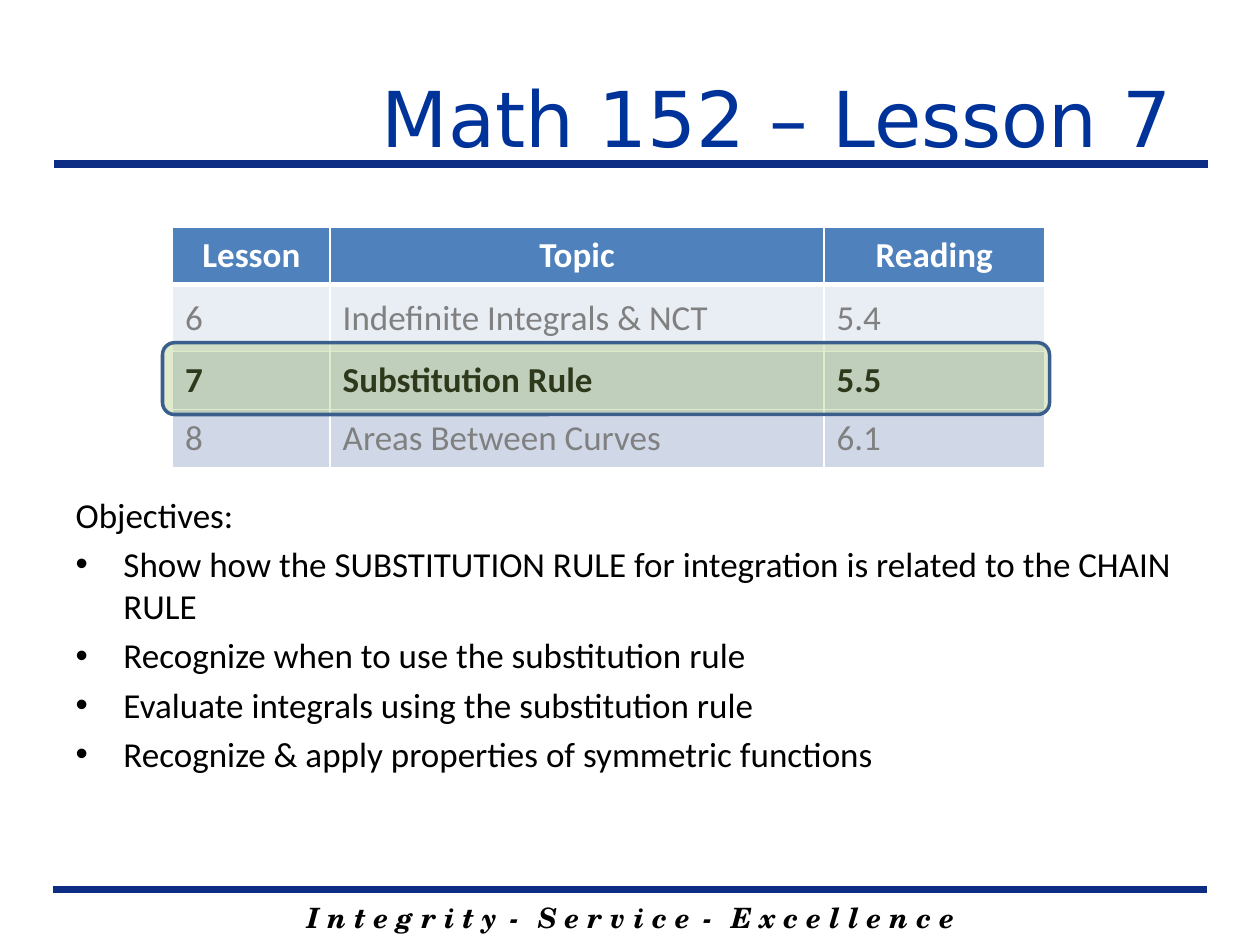
import pptx
import pptx.util
import pptx.dml.color
import pptx.enum.shapes
import pptx.enum.text
import pptx.oxml
import pptx.oxml.ns

PX = 9144  # EMU per px, at 100 px to the inch
COLORS = {
    "rule": "0C2D83", "title": "003399", "text": "000000", "muted": "808080",
    "white": "FFFFFF", "header": "4F81BD", "light": "E9EDF4", "band": "D0D8E8",
    "highlight": "9BBB59", "outline": "3A5F8C",
}
ALIGN = pptx.enum.text.PP_ALIGN
ANCHOR = pptx.enum.text.MSO_ANCHOR


def px(*lengths):
    return [length * PX for length in lengths]


def color(name):
    return pptx.dml.color.RGBColor.from_string(COLORS[name])


def add_child(parent, xml):
    """Append an element written with the a: prefix."""
    tag, rest = xml.split(" ", 1)
    child = pptx.oxml.parse_xml(f"<{tag} {pptx.oxml.ns.nsdecls('a')} {rest}")
    parent.append(child)


def add_span(para, text, size, font, hue, bold=False, italic=False):
    span = para.add_run()
    span.text = text
    span.font.size = pptx.util.Pt(size)
    span.font.name = font
    span.font.color.rgb = color(hue)
    span.font.bold = bold
    span.font.italic = italic
    return span


def place(shape, box):
    shape.left, shape.top, shape.width, shape.height = px(*box)


def add_rule(page, left, top, width):
    line = page.shapes.add_connector(
        pptx.enum.shapes.MSO_CONNECTOR.STRAIGHT, *px(left, top, left + width, top))
    line.line.color.rgb = color("rule")
    line.line.width = pptx.util.Pt(4.5)
    add_child(line._element.spPr, "a:effectLst />")


def add_header(page, box):
    left, top, width, height = box
    add_rule(page, left, top + height, width)
    title = page.shapes.title
    place(title, (left + 137, top, width - 136, height + 25))
    frame = title.text_frame
    frame.auto_size = pptx.enum.text.MSO_AUTO_SIZE.NONE
    frame.vertical_anchor = ANCHOR.MIDDLE
    para = frame.paragraphs[0]
    para.alignment = ALIGN.RIGHT
    add_span(para, "Math 152 – Lesson 7 ", 44, "DejaVu Sans", "title")


def add_footer(page, box):
    left, top, width, height = box
    add_rule(page, left, top, width)
    motto = page.shapes.add_textbox(*px(left + 100, top + 4, width - 199, height - 4))
    motto.text_frame.word_wrap = True
    para = motto.text_frame.paragraphs[0]
    para.alignment = ALIGN.CENTER
    for index, word in enumerate(("Integrity", "Service", "Excellence")):
        if index:
            dash = add_span(para, " - ", 16, "TeX Gyre Schola", "text", True, True)
            dash.font._element.set("spc", "300")  # wider gap between words
        add_span(para, " ".join(word), 16, "TeX Gyre Schola", "text", True, True)


def fill_cell(cell, text, fill, hue, bold, align, top=1, bottom=1):
    cell.vertical_anchor = ANCHOR.MIDDLE
    para = cell.text_frame.paragraphs[0]
    para.alignment = align
    add_span(para, text, 20, "Calibri", hue, bold)
    properties = cell._tc.get_or_add_tcPr()
    for side, points in (("L", 1), ("R", 1), ("T", top), ("B", bottom)):
        add_child(properties,
                  f'a:ln{side} w="{points * 12700}"><a:solidFill><a:srgbClr '
                  f'val="{COLORS["white"]}"/></a:solidFill></a:ln{side}>')
    cell.fill.solid()
    cell.fill.fore_color.rgb = color(fill)


def add_schedule(page, box):
    rows = [
        ("Lesson", "Topic", "Reading"),
        ("6", "Indefinite Integrals & NCT", "5.4"),
        ("7", "Substitution Rule", "5.5"),
        ("8", "Areas Between Curves", "6.1"),
    ]
    # Fill, font colour, bold, alignment, top and bottom border of each row
    styles = [
        ("header", "white", True, ALIGN.CENTER, 1, 3),
        ("light", "muted", False, ALIGN.LEFT, 3, 1),
        ("band", "text", True, ALIGN.LEFT, 1, 1),
        ("band", "muted", False, ALIGN.LEFT, 1, 1),
    ]
    table = page.shapes.add_table(len(rows), 3, *px(*box)).table
    table.horz_banding = False
    for column, width in zip(table.columns, px(125, 392, 175)):
        column.width = width
    for row, height, texts, style in zip(table.rows, px(46, 53, 46, 46), rows, styles):
        row.height = height
        for cell, text in zip(row.cells, texts):
            fill_cell(cell, text, *style)

    # Translucent frame around today's lesson
    left, top, width, _ = box
    frame = page.shapes.add_shape(
        pptx.enum.shapes.MSO_SHAPE.ROUNDED_RECTANGLE,
        *px(left - 8, top + 92, width + 12, 57))
    frame.shadow.inherit = False
    frame.fill.solid()
    frame.fill.fore_color.rgb = color("highlight")
    tint = frame._element.spPr.find(".//" + pptx.oxml.ns.qn("a:srgbClr"))
    add_child(tint, 'a:alpha val="30000"/>')
    frame.line.color.rgb = color("outline")
    frame.line.width = pptx.util.Pt(2)


def add_objectives(page, box):
    body = page.placeholders[1]
    place(body, box)
    frame = body.text_frame
    frame.auto_size = pptx.enum.text.MSO_AUTO_SIZE.NONE
    goals = [
        "Show how the SUBSTITUTION RULE for integration is related to the CHAIN RULE",
        "Recognize when to use the substitution rule",
        "Evaluate integrals using the substitution rule",
        "Recognize & apply properties of symmetric functions",
    ]
    for index, text in enumerate(["Objectives:"] + goals):
        para = frame.add_paragraph() if index else frame.paragraphs[0]
        para.space_before = pptx.util.Pt(4 if index else 0)
        indent = 38 * PX if index else 0
        properties = para._p.get_or_add_pPr()
        properties.set("marL", str(indent))
        properties.set("indent", str(-indent))
        add_child(properties, 'a:buChar char="•"/>' if index else "a:buNone />")
        add_span(para, text, 20, "Calibri", "text")


def main():
    deck = pptx.Presentation()
    deck.slide_width, deck.slide_height = px(1000, 750)
    page = deck.slides.add_slide(deck.slide_layouts[1])
    add_footer(page, (42, 706, 916, 41))
    add_header(page, (43, 30, 916, 100))
    add_objectives(page, (50, 387, 900, 283))
    add_schedule(page, (137, 180, 692, 191))
    deck.save("out.pptx")


if __name__ == "__main__":
    main()
